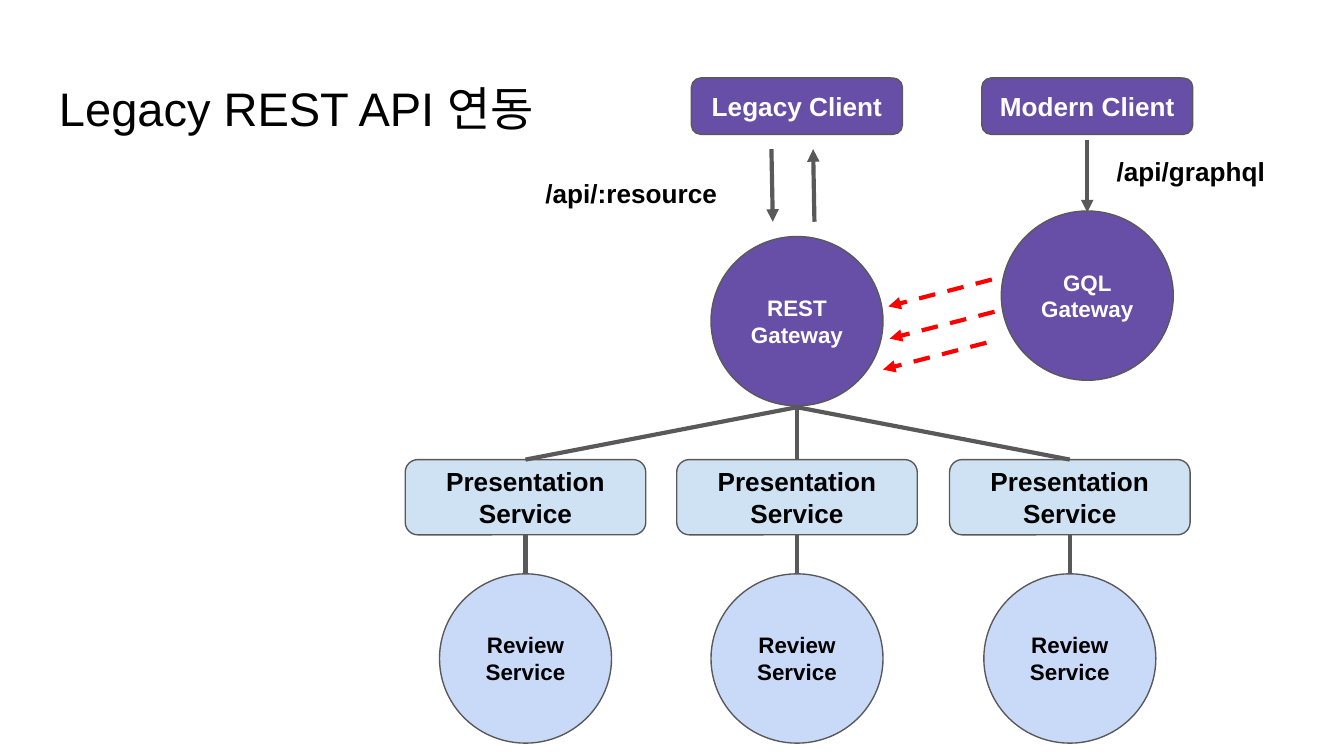
import pptx
import pptx.util
import pptx.dml.color
import pptx.enum.shapes
import pptx.enum.text
import pptx.enum.dml
import pptx.oxml.ns
import lxml.etree

Inches, Pt = pptx.util.Inches, pptx.util.Pt
SHAPE = pptx.enum.shapes.MSO_SHAPE

PURPLE, SKY, PERIWINKLE = "674EA7", "CFE2F3", "C9DAF8"
GRAY, RED, BLACK, WHITE = "595959", "FF0000", "000000", "FFFFFF"
CLIENT, SERVICE, CIRCLE = (1.57, 0.42), (1.79, 0.56), (1.28, 1.26)
REST_X, GQL_X = 5.93, 8.09
SERVICE_Y, REVIEW_Y = 3.42, 4.27
FORK = (REST_X, 3.03)

labels = [
    ("Legacy REST API 연동", (0.34, 0.49, 9.32, 0.63), 25.2, False),
    ("/api/:resource", (3.96, 1.22, 1.66, 0.44), 14, True),
    ("/api/graphql", (8.21, 1.06, 1.66, 0.44), 14, True),
]
clients = [("Legacy Client", REST_X), ("Modern Client", GQL_X)]
gateways = [("REST\nGateway", REST_X, 1.76), ("GQL\nGateway", GQL_X, 1.57)]
service_centers = [3.91, REST_X, 7.96]
requests = [
    ((5.74, 1.11), (5.75, 1.65)),
    ((6.06, 1.65), (6.05, 1.11)),
    ((8.09, 1.04), (8.09, 1.58)),
]
calls = [
    ((7.38, 2.08), (6.61, 2.28)),
    ((7.4, 2.32), (6.62, 2.52)),
    ((7.34, 2.55), (6.57, 2.75)),
]

prs = pptx.Presentation()
prs.slide_width = Inches(10)
prs.slide_height = Inches(10 * 9 / 16)
s = prs.slides.add_slide(prs.slide_layouts[6])


def rgb(color):
    return pptx.dml.color.RGBColor.from_string(color)


def write(sp, text, size, color, bold, align):
    tf = sp.text_frame
    tf.word_wrap = True
    tf.margin_left = tf.margin_right = tf.margin_top = tf.margin_bottom = Inches(0.1)
    tf.text = text
    for p in tf.paragraphs:
        p.alignment = align
        for r in p.runs:
            r.font.name, r.font.size, r.font.bold = "Arial", Pt(size), bold
            r.font.color.rgb = rgb(color)


def node(kind, text, center, top, size, fill, color, points):
    width, height = size
    sp = s.shapes.add_shape(kind, Inches(center - width / 2), Inches(top),
                            Inches(width), Inches(height))
    sp.shadow.inherit = False
    sp.fill.solid()
    sp.fill.fore_color.rgb = rgb(fill)
    sp.line.color.rgb = rgb(GRAY)
    sp.line.width = Pt(0.75)
    write(sp, text, points, color, True, pptx.enum.text.PP_ALIGN.CENTER)
    sp.text_frame.vertical_anchor = pptx.enum.text.MSO_ANCHOR.MIDDLE


def line(start, end, color=GRAY, dashed=False, arrow=False):
    c = s.shapes.add_connector(pptx.enum.shapes.MSO_CONNECTOR.STRAIGHT,
                               *[Inches(v) for v in start + end])
    c.line.color.rgb = rgb(color)
    c.line.width = Pt(2.25)
    if dashed:
        c.line.dash_style = pptx.enum.dml.MSO_LINE.DASH
    if arrow:
        ln = c._element.spPr.find(pptx.oxml.ns.qn("a:ln"))
        lxml.etree.SubElement(ln, pptx.oxml.ns.qn("a:tailEnd"), type="triangle")
    lxml.etree.SubElement(c._element.spPr, pptx.oxml.ns.qn("a:effectLst"))


for text, box, points, bold in labels:
    sp = s.shapes.add_textbox(*[Inches(v) for v in box])
    write(sp, text, points, BLACK, bold, pptx.enum.text.PP_ALIGN.LEFT)

for text, center in clients:
    node(SHAPE.ROUNDED_RECTANGLE, text, center, 0.58, CLIENT, PURPLE, WHITE, 14)
for text, center, top in gateways:
    node(SHAPE.OVAL, text, center, top, CIRCLE, PURPLE, WHITE, 12)

for center in service_centers:
    node(SHAPE.ROUNDED_RECTANGLE, "Presentation Service", center, SERVICE_Y, SERVICE, SKY, BLACK, 14)
    node(SHAPE.OVAL, "Review\vService", center, REVIEW_Y, CIRCLE, PERIWINKLE, BLACK, 12)
    line((center, SERVICE_Y + SERVICE[1]), (center, REVIEW_Y))
    line(FORK, (center, SERVICE_Y))

for start, end in requests:
    line(start, end, arrow=True)
for start, end in calls:
    line(start, end, RED, dashed=True, arrow=True)

prs.save("out.pptx")
